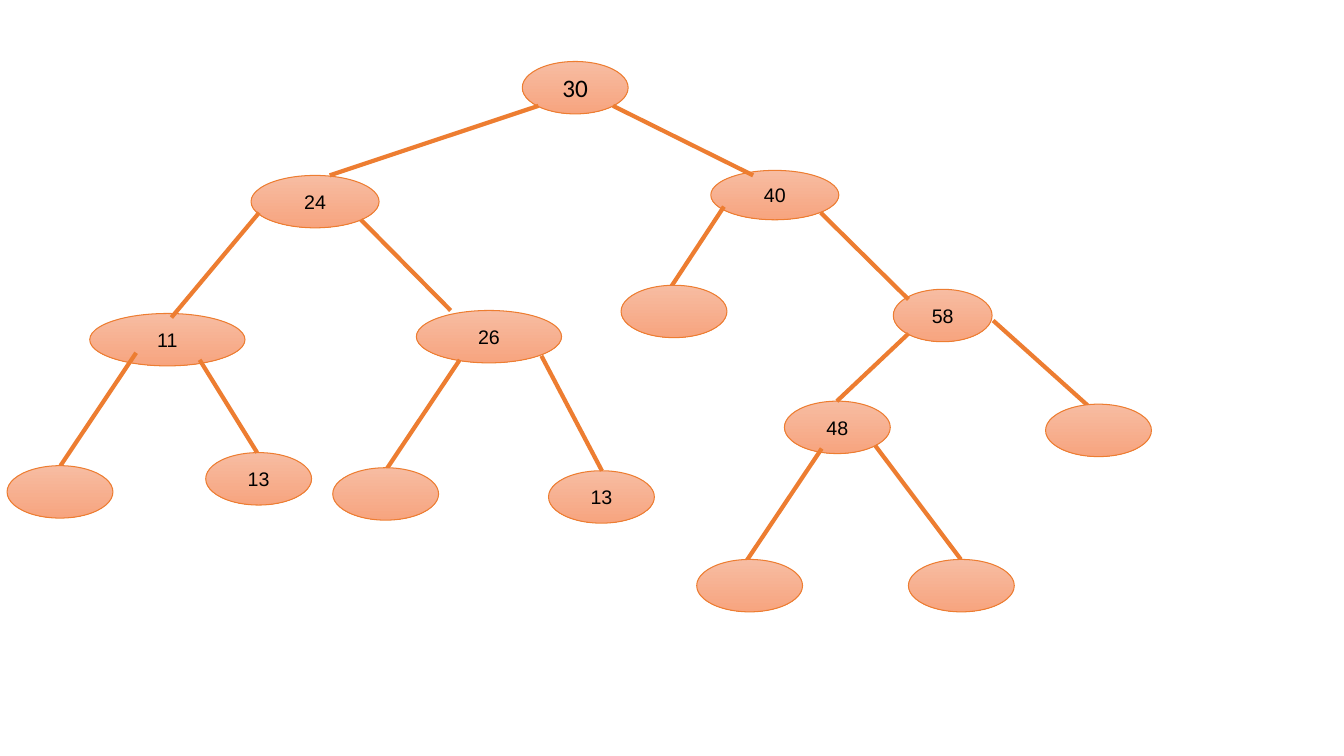
from pptx import Presentation
from pptx.dml.color import RGBColor
from pptx.enum.shapes import MSO_CONNECTOR, MSO_SHAPE
from pptx.enum.text import MSO_ANCHOR, PP_ALIGN
from pptx.oxml.ns import qn
from pptx.util import Inches, Pt
from lxml import etree

ELLIPSE = MSO_SHAPE.OVAL
STRAIGHT = MSO_CONNECTOR.STRAIGHT
CENTER = PP_ALIGN.CENTER
MIDDLE = MSO_ANCHOR.MIDDLE

SLIDE_SIZE = (13.33, 7.5)
NODE_SIZE = (1.05, 0.52)
ORANGE, PEACH_TOP, PEACH_BOTTOM, BLACK = "ED7D31", "F7BCA2", "F7A47F", "000000"
ROOT_FONT, NODE_FONT = ("Calibri", 18), ("Arial", 14)

# label, left, top, (width, height), font
KEY_NODES = [
    ("30", 5.18, 0.61, NODE_SIZE, ROOT_FONT),
    ("24", 2.49, 1.74, (1.27, 0.52), NODE_FONT),
    ("40", 7.05, 1.69, (1.27, 0.49), NODE_FONT),
    ("48", 7.78, 3.98, NODE_SIZE, NODE_FONT),
    ("58", 8.86, 2.87, (0.98, 0.52), NODE_FONT),
    ("11", 0.89, 3.11, (1.54, 0.52), NODE_FONT),
    ("26", 4.13, 3.08, (1.44, 0.52), NODE_FONT),
    ("13", 2.04, 4.49, NODE_SIZE, NODE_FONT),
    ("13", 5.44, 4.67, NODE_SIZE, NODE_FONT),
]

# left, top
EMPTY_LEAVES = [
    (0.07, 4.62), (3.3, 4.64), (6.16, 2.83),
    (6.91, 5.55), (9.01, 5.55), (10.37, 4.01),
]

# parent end, child end
EDGES = [
    ((5.34, 1.05), (3.27, 1.74)),   # 30 to 24
    ((6.08, 1.05), (7.47, 1.74)),   # 30 to 40
    ((2.57, 2.11), (1.7, 3.15)),    # 24 to 11
    ((3.58, 2.18), (4.47, 3.08)),   # 24 to 26
    ((7.18, 2.05), (6.64, 2.87)),   # 40 to leaf
    ((8.14, 2.11), (9.01, 2.97)),   # 40 to 58
    ((1.35, 3.5), (0.6, 4.62)),     # 11 to leaf
    ((1.98, 3.57), (2.55, 4.49)),   # 11 to 13
    ((4.56, 3.57), (3.81, 4.69)),   # 26 to leaf
    ((5.37, 3.53), (5.97, 4.67)),   # 26 to 13
    ((9.01, 3.31), (8.3, 3.98)),    # 58 to 48
    ((9.85, 3.18), (10.83, 4.06)),  # 58 to leaf
    ((8.15, 4.45), (7.4, 5.57)),    # 48 to leaf
    ((8.68, 4.42), (9.53, 5.55)),   # 48 to leaf
]


def color(value):
    return RGBColor.from_string(value)


def add_node(page, left, top, size=NODE_SIZE):
    node = page.shapes.add_shape(ELLIPSE, *map(Inches, (left, top, *size)))
    node.shadow.inherit = False
    node.fill.gradient()
    node.fill.gradient_angle = 270
    for stop, shade in zip(node.fill.gradient_stops, (PEACH_TOP, PEACH_BOTTOM)):
        stop.color.rgb = color(shade)
    node.line.color.rgb = color(ORANGE)
    node.line.width = Pt(0.75)
    return node


def add_label(node, label, font):
    frame = node.text_frame
    frame.margin_left = frame.margin_right = 0
    frame.margin_top = frame.margin_bottom = 0
    frame.vertical_anchor = MIDDLE
    para = frame.paragraphs[0]
    para.text = label
    para.alignment = CENTER
    para.font.name, size = font
    para.font.size = Pt(size)
    para.font.color.rgb = color(BLACK)


def add_edge(page, parent_end, child_end):
    edge = page.shapes.add_connector(STRAIGHT, *map(Inches, parent_end + child_end))
    edge.line.color.rgb = color(ORANGE)
    edge.line.width = Pt(3)
    etree.SubElement(edge._element.spPr, qn("a:effectLst"))


def main():
    deck = Presentation()
    deck.slide_width, deck.slide_height = map(Inches, SLIDE_SIZE)
    page = deck.slides.add_slide(deck.slide_layouts[6])
    for label, left, top, size, font in KEY_NODES:
        add_label(add_node(page, left, top, size), label, font)
    for parent_end, child_end in EDGES:
        add_edge(page, parent_end, child_end)
    for left, top in EMPTY_LEAVES:
        add_node(page, left, top)
    deck.save("out.pptx")


if __name__ == "__main__":
    main()
